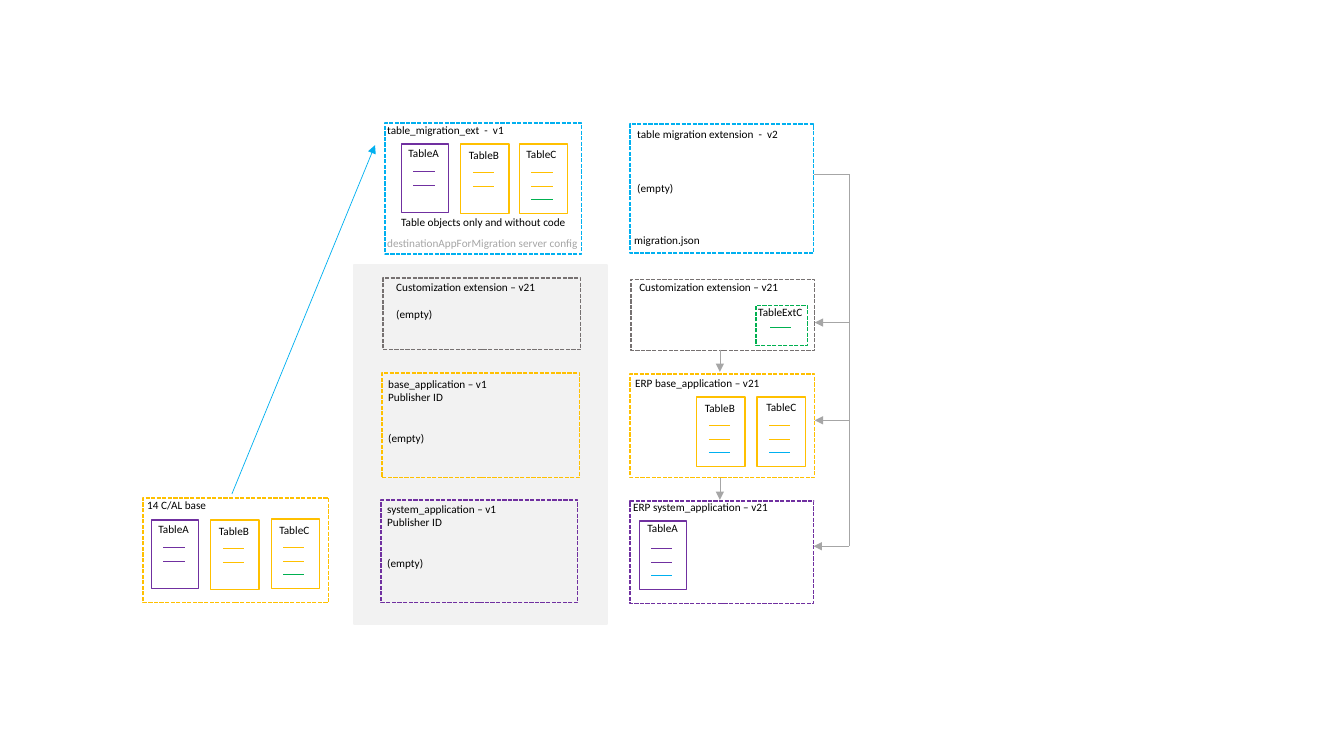
from dataclasses import dataclass

from lxml import etree
from pptx import Presentation
from pptx.dml.color import RGBColor
from pptx.enum.dml import MSO_LINE
from pptx.enum.shapes import MSO_CONNECTOR, MSO_SHAPE
from pptx.enum.text import MSO_AUTO_SIZE
from pptx.oxml.ns import qn
from pptx.util import Emu, Pt

RECT = MSO_SHAPE.RECTANGLE
LINE = MSO_CONNECTOR.STRAIGHT
DASH = MSO_LINE.SQUARE_DOT
GROW = MSO_AUTO_SIZE.SHAPE_TO_FIT_TEXT

PX = 9144  # 100 px to the inch
ROW = 9.77  # height of a text row, pt
BLACK, GREY, DARK, PALE = "000000", "A6A6A6", "767171", "F2F2F2"
GOLD, PURPLE, BLUE, GREEN = "FFC000", "7030A0", "00B0F0", "00B050"


@dataclass
class Box:
    x: int
    y: int
    w: int
    h: int
    color: str


@dataclass
class Card:
    name: str
    x: int
    y: int
    dx: int  # label offset
    dy: int
    third: str = ""  # colour of the third bar


@dataclass
class Label:
    x: int
    y: int
    w: int
    rows: list[tuple[str, int]]  # wording, rows of space before
    color: str = BLACK
    side: int = 4
    top: int = 4


@dataclass
class Wire:
    x1: int
    y1: int
    x2: int
    y2: int
    color: str = GREY
    arrow: bool = True


def px(n: int) -> Emu:
    return Emu(n * PX)


def rgb(color: str) -> RGBColor:
    return RGBColor.from_string(color)


def draw_box(shapes, box: Box, dash: bool = True, fill: str = "") -> None:
    shape = shapes.add_shape(RECT, px(box.x), px(box.y), px(box.w), px(box.h))
    shape.shadow.inherit = False
    if fill:
        shape.fill.solid()
        shape.fill.fore_color.rgb = rgb(fill)
    else:
        shape.fill.background()
    shape.line.color.rgb = rgb(box.color)
    shape.line.width = Pt(1)
    if dash:
        shape.line.dash_style = DASH


def draw_wire(shapes, wire: Wire, width: float = 0.5) -> None:
    line = shapes.add_connector(LINE, px(wire.x1), px(wire.y1), px(wire.x2), px(wire.y2))
    line.line.color.rgb = rgb(wire.color)
    line.line.width = Pt(width)
    if wire.arrow:
        etree.SubElement(line.line._get_or_add_ln(), qn("a:tailEnd"), type="triangle")
    etree.SubElement(line._element.spPr, qn("a:effectLst"))


def draw_bar(shapes, x: int, y: int, color: str) -> None:
    draw_wire(shapes, Wire(x, y, x + 21, y, color, False), 1)


def draw_label(shapes, label: Label) -> None:
    height = 8 + 14 * sum(1 + gap for _, gap in label.rows)
    frame = shapes.add_textbox(px(label.x), px(label.y), px(label.w), px(height)).text_frame
    frame.word_wrap = True
    frame.auto_size = GROW
    frame.margin_left = frame.margin_right = px(label.side)
    frame.margin_top = frame.margin_bottom = px(label.top)
    for i, (text, gap) in enumerate(label.rows):
        para = frame.add_paragraph() if i else frame.paragraphs[0]
        if gap:
            para.space_before = Pt(round(gap * ROW, 1))
        run = para.add_run()
        run.text = text
        run.font.size = Pt(8)
        run.font.name = "Calibri"
        run.font.color.rgb = rgb(label.color)


def draw_card(shapes, card: Card) -> None:
    first = card.name == "TableA"
    w, h, color = (47, 68, PURPLE) if first else (48, 69, GOLD)
    group = shapes.add_group_shape().shapes
    draw_box(group, Box(card.x, card.y, w, h, color), dash=False)
    bars = [color, color] + ([card.third] if card.third else [])
    for rise, tint in zip((41, 27, 14), bars):
        draw_bar(group, card.x + 12, card.y + h - rise, tint)
    draw_label(shapes, Label(card.x + card.dx, card.y + card.dy, 45, [(card.name, 0)]))


PANEL = Box(351, 263, 251, 356, PALE)

BOXES = [
    Box(142, 494, 184, 104, GOLD),
    # Middle column, top to bottom
    Box(382, 122, 195, 130, BLUE),
    Box(380, 276, 196, 71, DARK),
    Box(379, 370, 196, 104, GOLD),
    Box(378, 496, 195, 102, PURPLE),
    # Right column, top to bottom
    Box(625, 123, 182, 128, BLUE),
    Box(626, 277, 182, 71, DARK),
    Box(750, 303, 51, 40, GREEN),
    Box(625, 371, 183, 103, GOLD),
    Box(625, 497, 182, 102, PURPLE),
]

CARDS = [
    Card("TableA", 150, 516, 3, -2),
    Card("TableB", 209, 516, 4, 0),
    Card("TableC", 269, 515, 4, 0, GREEN),
    Card("TableA", 398, 143, 3, -2),
    Card("TableB", 457, 143, 4, 0),
    Card("TableC", 515, 143, 3, -1, GREEN),
    Card("TableB", 691, 394, 4, 0, BLUE),
    Card("TableC", 751, 394, 5, -1, BLUE),
    Card("TableA", 634, 517, 4, -4, BLUE),
]

LABELS = [
    Label(142, 490, 175, [("14 C/AL base", 0)]),
    Label(380, 118, 182, [("table_migration_ext  -  v1", 0)]),
    Label(388, 209, 190, [("Table objects only and without code", 0)], side=10, top=5),
    Label(380, 230, 215, [("destinationAppForMigration server config", 0)], GREY),
    Label(389, 274, 163, [("Customization extension – v21", 0), ("(empty)", 1)]),
    Label(381, 370, 170, [("base_application – v1", 0), ("Publisher ID", 0), ("(empty)", 2)]),
    Label(380, 494, 157, [("system_application – v1", 0), ("Publisher ID", 0), ("(empty)", 2)]),
    Label(628, 122, 182, [("table migration extension  -  v2", 0), ("(empty)", 3)]),
    Label(625, 227, 105, [("migration.json", 0)]),
    Label(630, 274, 155, [("Customization extension – v21", 0)]),
    Label(748, 299, 56, [("TableExtC", 0)]),
    Label(626, 369, 147, [("ERP base_application – v21", 0)]),
    Label(624, 492, 150, [("ERP system_application – v21", 0)]),
]

WIRES = [
    Wire(230, 490, 372, 144, BLUE),
    Wire(714, 347, 714, 369),
    Wire(714, 474, 714, 496),
    # Trunk from the migration extension to the three apps
    Wire(842, 173, 807, 173, arrow=False),
    Wire(842, 542, 842, 173, arrow=False),
    Wire(842, 320, 808, 320),
    Wire(842, 417, 808, 417),
    Wire(842, 542, 807, 542),
]


def main() -> None:
    deck = Presentation()
    deck.slide_width, deck.slide_height = px(1333), px(750)
    shapes = deck.slides.add_slide(deck.slide_layouts[6]).shapes

    # Apps and their tables
    draw_box(shapes, PANEL, dash=False, fill=PALE)
    for box in BOXES:
        draw_box(shapes, box)
    for card in CARDS:
        draw_card(shapes, card)
    draw_bar(shapes, 764, 325, GREEN)

    # Wording and links
    for label in LABELS:
        draw_label(shapes, label)
    for wire in WIRES:
        draw_wire(shapes, wire)
    deck.save("out.pptx")


if __name__ == "__main__":
    main()
